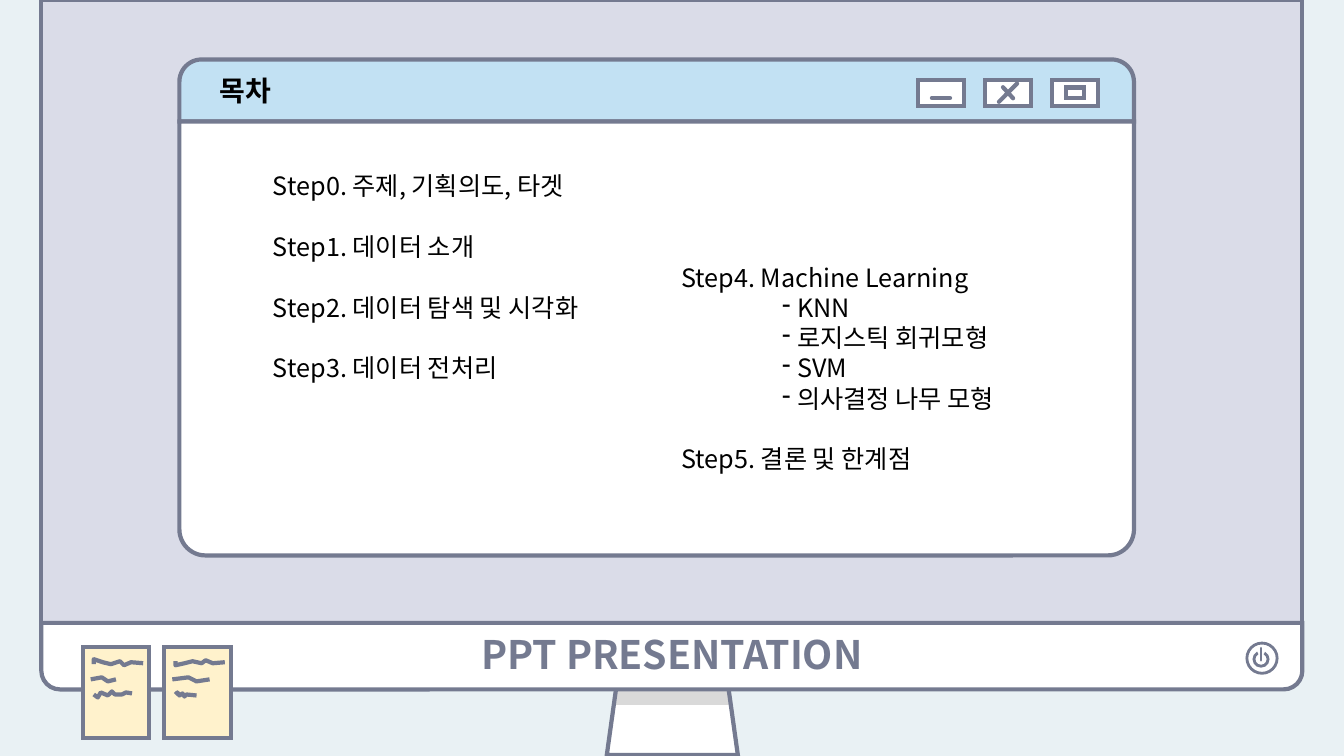
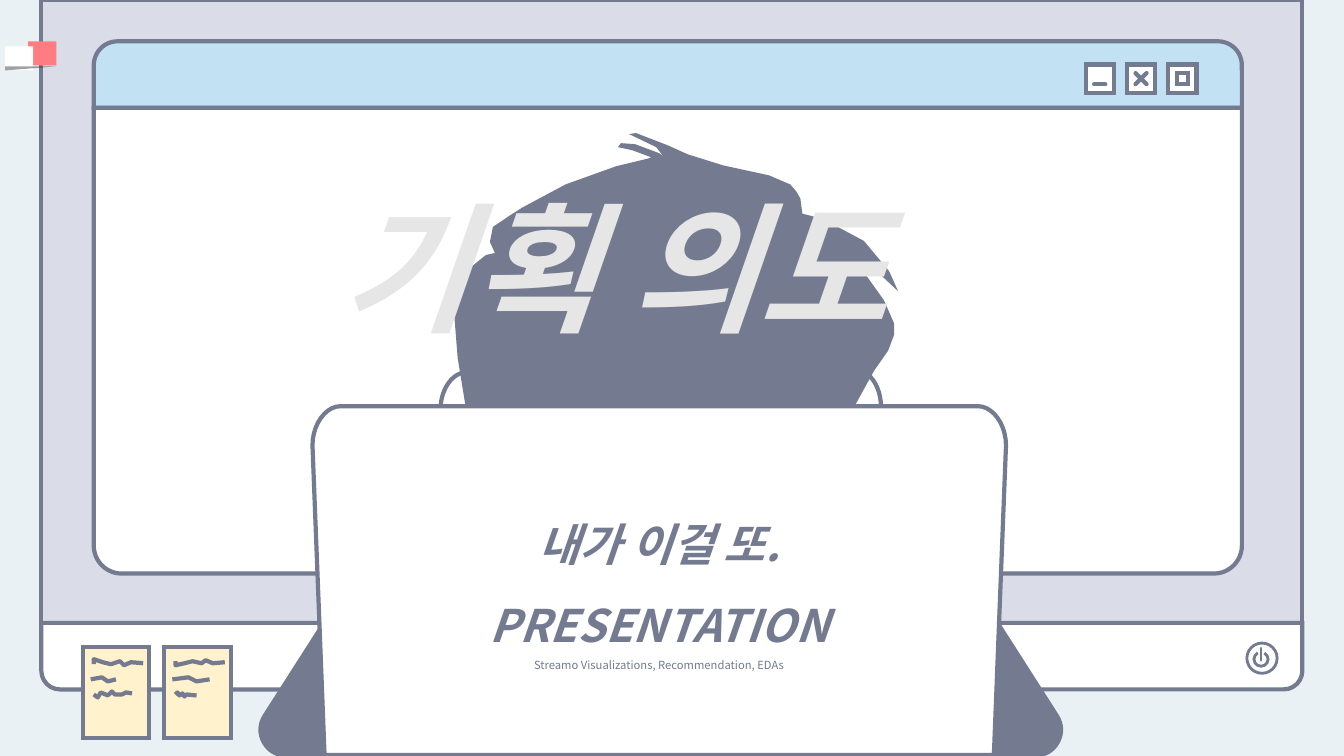
from lxml import etree
from pptx import Presentation
from pptx.dml.color import RGBColor
from pptx.enum.shapes import MSO_CONNECTOR, MSO_SHAPE
from pptx.enum.text import MSO_ANCHOR, PP_ALIGN
from pptx.oxml.ns import qn
from pptx.util import Inches, Pt

ROWS = 75
CELL = Inches(7.5) // ROWS
COLUMNS = 133.33
FONT = "Noto Sans CJK KR"
COLORS = {
    "desk": "E9F1F4", "screen": "DADCE8", "outline": "747A90", "bar": "C2E1F3",
    "white": "FFFFFF", "shade": "D9D9D9", "note": "FFF2CC", "tab": "FF7C80",
    "black": "000000", "pale": "E7E6E6",
}
RECTANGLE = MSO_SHAPE.RECTANGLE
ROUNDED = MSO_SHAPE.ROUND_2_SAME_RECTANGLE
ELLIPSE = MSO_SHAPE.OVAL
ARC = MSO_SHAPE.ARC
TRAPEZOID = MSO_SHAPE.TRAPEZOID
TRIANGLE = MSO_SHAPE.RIGHT_TRIANGLE
STRAIGHT = MSO_CONNECTOR.STRAIGHT
CENTER = PP_ALIGN.CENTER
MIDDLE = MSO_ANCHOR.MIDDLE
LINE_GAP = Pt(21.8)

STYLES = {
    "brand": ("outline", {"size": Pt(28), "bold": True}),
    "heading": ("black", {"size": Pt(20), "bold": True}),
    "body": ("black", {"size": Pt(18)}),
    "slogan": ("outline", {"size": Pt(32), "bold": True, "italic": True}),
    "caption": ("outline", {"size": Pt(8)}),
    "poster": ("pale", {"size": Pt(100), "bold": True, "italic": True}),
}
NOTE_LEFTS = (8.2, 16.3)
NOTE_STROKES = (
    [(9.3, 65.9), (9.3, 65.4), (10.2, 65.7), (11, 65.9), (11.9, 65.6), (12.3, 66), (13, 65.7), (14.2, 65.8)],
    [(9, 67.4), (10.1, 67.2), (10.7, 67.6), (11.5, 67.4)],
    [(9.3, 68.9), (9.7, 69.2), (10, 68.7), (10.7, 69), (11.1, 68.6), (11.4, 68.9), (12.1, 68.9),
     (12.5, 68.7), (13.1, 68.8)],
    [(17.4, 65.6), (17.4, 66), (18.3, 65.8), (19.1, 65.6), (20, 65.8), (20.4, 65.5), (21.1, 65.8), (22.3, 65.7)],
    [(17.1, 67.4), (18.7, 67.2), (19.5, 67.6), (20.8, 67.4)],
    [(17.4, 68.9), (17.6, 68.7), (17.8, 69), (18.1, 68.8), (18.3, 69.1), (18.5, 68.9), (19.5, 69)],
)
HAIR = [
    (48.6, 49.4), (47.1, 45.9), (46.3, 41), (45.4, 35.5), (44.9, 29.2), (45.1, 28.6), (46.1, 27),
    (48.2, 25.3), (49.1, 25.1), (48.6, 24), (48.9, 22.5), (50.7, 21.3), (51.8, 20.6), (56.1, 18.3),
    (61.1, 16.5), (64.4, 15.7), (64.6, 15.6), (62.7, 14.9), (61.3, 14.6), (61.6, 14.2), (63, 14.3),
    (65.4, 15.2), (65.8, 15.5), (65.1, 14.6), (62.4, 13.3), (63.1, 13.2), (66.2, 14.4), (68.2, 15.3),
    (71.7, 16.4), (76.3, 17.4), (78.4, 18.3), (79, 19), (79.4, 19.7), (79.6, 21.2), (81.6, 21.7),
    (85.7, 23.9), (88.2, 26.9), (89.1, 28.9), (87.5, 27.4), (85.5, 26.5), (85.3, 26.5), (85.7, 27),
    (87.7, 29.8), (88.7, 32.1), (88.7, 33.2), (88.1, 34.8), (86.7, 36.8), (84.5, 40.8), (83.6, 43.9),
    (82.6, 48.6), (81.7, 50.1),
]
HEAD = [
    (46.1, 38.3), (49.3, 55.8), (54.7, 57.7), (69.2, 57.6), (81.2, 56.2), (83.4, 46), (83.8, 41.5),
    (84.7, 38.4), (80, 29.9), (72.8, 25.7), (60.6, 25.5), (51, 29), (47.3, 31.9),
]
LAPTOP_CORNER = ((31, 44.2), (31, 42.1), (32.3, 40.3), (33.8, 40.3))
LAPTOP_AXIS = 65.4


def color(name):
    """Look up a palette colour."""
    return RGBColor.from_string(COLORS[name])


def grid(*cells):
    """Turn grid cells into slide lengths."""
    return [round(cell * CELL) for cell in cells]


def paint(shape, fill=None, width=3, join="miter"):
    """Give a shape its fill and outline, without a shadow."""
    shape.shadow.inherit = False
    if fill:
        shape.fill.solid()
        shape.fill.fore_color.rgb = color(fill)
    else:
        shape.fill.background()
    if width:
        shape.line.width = Pt(width)
        shape.line.color.rgb = color("outline")
        etree.SubElement(shape.line._get_or_add_ln(), qn(f"a:{join}"))
    else:
        shape.line.fill.background()
    return shape


def add_preset(slide, kind, box, fill=None, width=3, adjustments=(), flip=None, join="miter"):
    """Add a preset shape on the grid."""
    shape = slide.shapes.add_shape(kind, *grid(*box))
    for index, value in enumerate(adjustments):
        shape.adjustments[index] = value
    if flip:
        shape._element.spPr.xfrm.set(flip, "1")
    return paint(shape, fill, width, join)


def add_outline(slide, points, fill=None, width=3, close=True):
    """Add a freeform through grid points."""
    start, *rest = [grid(*point) for point in points]
    builder = slide.shapes.build_freeform(*start)
    builder.add_line_segments(rest, close=close)
    return paint(builder.convert_to_shape(), fill, width, "round")


def add_stroke(slide, start, end, width=3):
    """Add a straight line with round ends."""
    line = slide.shapes.add_connector(STRAIGHT, *grid(*start, *end))
    line.line.width = Pt(width)
    line.line.color.rgb = color("outline")
    line.line._get_or_add_ln().set("cap", "rnd")
    etree.SubElement(line._element.spPr, qn("a:effectLst"))


def write(shape, lines, **common):
    """Write (text, style, paragraph format) lines into a shape."""
    frame = shape.text_frame
    frame.word_wrap = True
    for index, (text, style, layout) in enumerate(lines):
        paragraph = frame.paragraphs[0] if index == 0 else frame.add_paragraph()
        for name, value in {**common, **layout}.items():
            setattr(paragraph, name, value)
        run = paragraph.add_run()
        run.text = text
        color_name, formats = STYLES[style]
        run.font.color.rgb = color(color_name)
        for name, value in {"name": FONT, **formats}.items():
            setattr(run.font, name, value)
        etree.SubElement(run.font._element, qn("a:ea"), typeface=FONT)
    return frame


def add_text(slide, box, lines):
    """Add a wrapping text box."""
    return write(slide.shapes.add_textbox(*grid(*box)), lines)


def add_dash(paragraph):
    """Make a paragraph an indented dash item."""
    properties = paragraph._p.get_or_add_pPr()
    properties.set("marL", str(Inches(1.15)))
    properties.set("indent", str(-Inches(0.15)))
    etree.SubElement(properties, qn("a:buChar"), char="-")


def add_monitor(slide):
    """Draw the stand, screen, chin and power button; return the chin."""
    stand = add_preset(slide, TRAPEZOID, (60.2, 65.8, 13, 9.1), "white", adjustments=(0.14,))
    stand.fill.gradient()
    stand.fill.gradient_angle = 270
    for stop, position, name in zip(stand.fill.gradient_stops, (0.45, 0.46), ("shade", "white")):
        stop.position = position
        stop.color.rgb = color(name)
    add_preset(slide, RECTANGLE, (4.1, 0, 125.1, 61.8), "screen")
    chin = add_preset(slide, ROUNDED, (4.1, 61.8, 125.1, 6.6), "white", adjustments=(0, 0.28))
    add_preset(slide, ELLIPSE, (123.7, 63.8, 3, 3), "white", 2)
    add_preset(slide, ARC, (124.4, 64.7, 1.4, 1.4), None, 2, (179.59, 145.3))
    add_stroke(slide, (125.1, 64.3), (125.1, 65.5), 2)
    return chin


def add_notes(slide):
    """Draw the two sticky notes with their scribbles."""
    for left in NOTE_LEFTS:
        add_preset(slide, RECTANGLE, (left, 64.2, 6.6, 9), "note")
    for points in NOTE_STROKES:
        add_outline(slide, points, close=False)


def add_window(slide, box, bar, buttons, step, cross):
    """Draw a window with a title bar and three buttons."""
    left, top, width, height = box
    add_preset(slide, ROUNDED, (left, top, width, bar), "bar", adjustments=(0.36, 0))
    add_preset(slide, ROUNDED, (left, top + bar, width, height - bar), "white", adjustments=(0, 0.06))
    first, upper, wide, high = buttons
    lefts = [first + step * index for index in range(3)]
    for button_left in lefts:
        add_preset(slide, RECTANGLE, (button_left, upper, wide, high), "white")
    minus_y = upper + 0.7 * high
    add_stroke(slide, (first + 0.3 * wide, minus_y), (first + 0.7 * wide, minus_y))
    center_x, center_y = lefts[1] + wide / 2, upper + high / 2
    for across, down in cross:
        add_stroke(slide, (center_x - across, center_y - down), (center_x + across, center_y + down))
    add_preset(slide, RECTANGLE, (lefts[2] + 0.3 * wide, upper + 0.3 * high, 0.4 * wide, 0.4 * high), "white")


def add_tab(slide):
    """Draw the folded bookmark at the screen's edge."""
    add_preset(slide, RECTANGLE, (2.8, 4.1, 2.8, 2.4), "tab", 0)
    add_preset(slide, RECTANGLE, (0.5, 4.6, 2.8, 2.4), "white", 0)
    shadow = add_preset(slide, TRIANGLE, (0.5, 6.6, 5, 0.4), "black", 0, flip="flipV")
    tone = shadow._element.spPr.find(qn("a:solidFill"))[0]
    etree.SubElement(tone, qn("a:alpha"), val="37000")


def curve(points, steps=10):
    """Sample a cubic curve."""
    shares = [step / steps for step in range(steps + 1)]
    weights = [((1 - t) ** 3, 3 * t * (1 - t) ** 2, 3 * t * t * (1 - t), t ** 3) for t in shares]
    return [tuple(sum(w * p[axis] for w, p in zip(row, points)) for axis in (0, 1)) for row in weights]


def add_person(slide):
    """Draw the person behind a laptop; return the laptop."""
    for left, top in ((43.7, 36.9), (82, 36.6)):
        add_preset(slide, ELLIPSE, (left, top, 5.4, 7.5), "white")
    for points in (HAIR, HEAD):
        add_outline(slide, points, "outline", 0)
    for left, flip in ((95.8, None), (28.4, "flipH")):
        add_preset(slide, TRIANGLE, (left, 61.6, 6.9, 10.8), "outline", 39.75, flip=flip, join="round")
    half = [(32.2, 74.9)] + curve(LAPTOP_CORNER)
    mirrored = [(2 * LAPTOP_AXIS - x, y) for x, y in reversed(half)]
    return add_outline(slide, half + mirrored, "white")


def add_scene(presentation):
    """Add a slide with the shared desk; return it and the monitor's chin."""
    slide = presentation.slides.add_slide(presentation.slide_layouts[6])
    slide.background.fill.solid()
    slide.background.fill.fore_color.rgb = color("desk")
    chin = add_monitor(slide)
    add_notes(slide)
    return slide, chin


def build_contents(presentation):
    """Build the table of contents."""
    slide, chin = add_scene(presentation)
    write(chin, [("PPT PRESENTATION", "brand", {})], alignment=CENTER).vertical_anchor = MIDDLE
    add_window(slide, (17.8, 5.9, 94.7, 49.2), 6.15, (91.1, 7.9, 4.5, 2.6), 6.65, ((0.5, 0.55), (0.9, -0.9)))
    add_text(slide, (20.8, 6.8, 15.5, 4.4), [("목차", "heading", {})])
    gap = {"space_before": LINE_GAP}
    add_text(slide, (26.1, 16.4, 38.1, 22.2), [
        ("Step0. 주제, 기획의도, 타겟", "body", {}),
        ("Step1. 데이터 소개", "body", gap),
        ("Step2. 데이터 탐색 및 시각화", "body", gap),
        ("Step3. 데이터 전처리", "body", gap),
    ])
    models = ("KNN", "로지스틱 회귀모형", "SVM", "의사결정 나무 모형")
    frame = add_text(slide, (66.6, 25.5, 38.1, 25.2), [
        ("Step4. Machine Learning", "body", {}),
        *((model, "body", {}) for model in models),
        ("Step5. 결론 및 한계점", "body", gap),
    ])
    for paragraph in frame.paragraphs[1:-1]:
        add_dash(paragraph)


def build_intent(presentation):
    """Build the section slide."""
    slide, _ = add_scene(presentation)
    add_tab(slide)
    add_window(slide, (9.3, 4.1, 113.9, 52.8), 6.6, (107.7, 6.4, 2.8, 2.8), 4.1, ((0.55, 0.55), (0.55, -0.55)))
    laptop = add_person(slide)
    write(laptop, [
        ("내가 이걸 또.", "slogan", {}),
        ("PRESENTATION", "slogan", {}),
        ("Streamo Visualizations, Recommendation, EDAs", "caption", {}),
    ], alignment=CENTER, line_spacing=1.5).vertical_anchor = MIDDLE
    add_text(slide, (32.8, 17.5, 83.1, 17.8), [("기획 의도", "poster", {})])


def main():
    """Build and save the presentation."""
    presentation = Presentation()
    presentation.slide_width, presentation.slide_height = grid(COLUMNS, ROWS)
    build_contents(presentation)
    build_intent(presentation)
    presentation.save("out.pptx")


if __name__ == "__main__":
    main()
